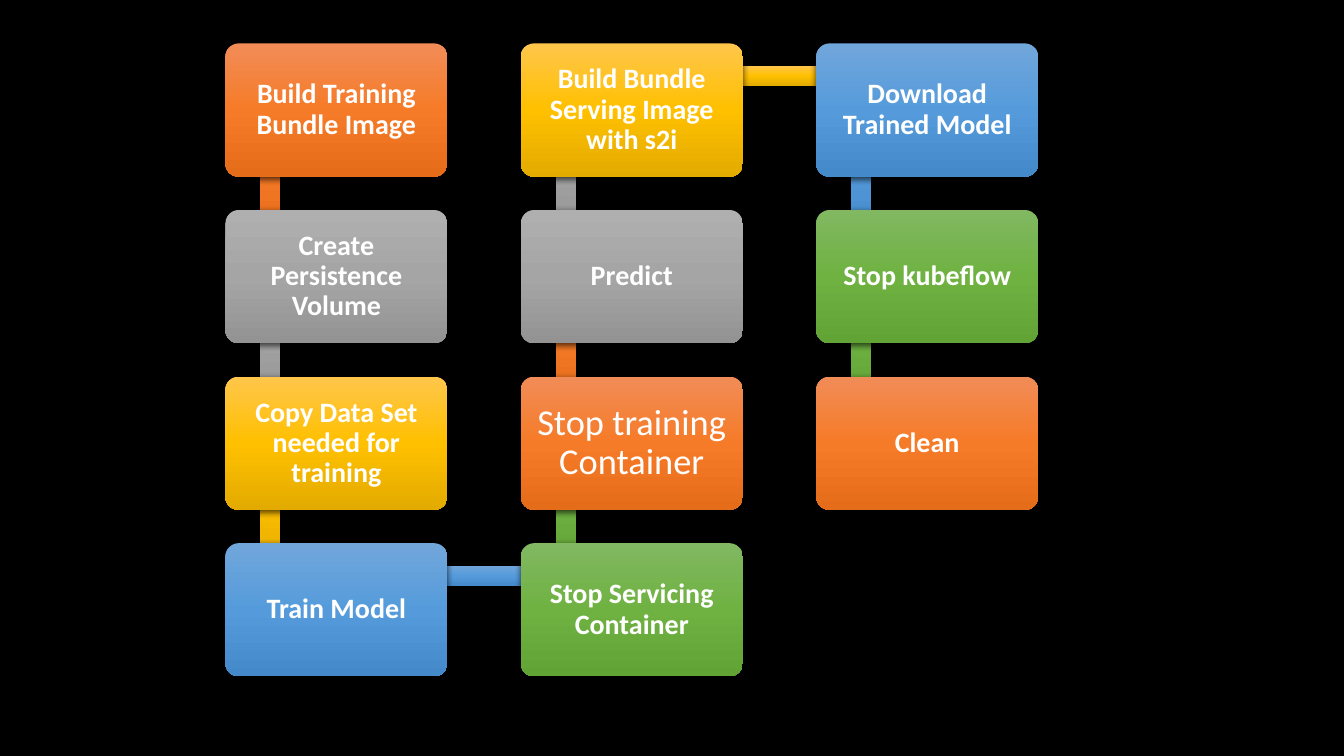
from pptx import Presentation
from pptx import util as u
from pptx.dml.color import RGBColor
from pptx.enum import shapes, text
from pptx.oxml import parse_xml

NS = 'xmlns:a="http://schemas.openxmlformats.org/drawingml/2006/main"'
ORANGE = ("F18C57", "F67B28", "E56C19")
GRAY = ("AFAFAF", "A5A5A5", "939393")
GOLD = ("FFC64B", "FFC000", "E3AB00")
BLUE = ("71A6DB", "559BDB", "448ACA")
GREEN = ("81B861", "6FB242", "62A336")


def rgb(color):
    return RGBColor.from_string(color)


def block(kind, x, y, w, h, colors):
    sp = s.shapes.add_shape(kind, u.Pt(x), u.Pt(y), u.Pt(w), u.Pt(h))
    stops = "".join(
        f'<a:gs pos="{i * 50000}"><a:srgbClr val="{c}"/></a:gs>'
        for i, c in enumerate(colors))
    sp._element.spPr.append(parse_xml(
        f'<a:gradFill {NS} rotWithShape="0"><a:gsLst>{stops}</a:gsLst>'
        '<a:lin ang="5400000" scaled="0"/></a:gradFill>'))
    sp.line.fill.background()
    sp._element.spPr.append(parse_xml(
        f'<a:effectLst {NS}><a:outerShdw blurRad="{u.Pt(4.5)}" dist="{u.Pt(1.5)}" '
        'dir="5400000" algn="ctr" rotWithShape="0"><a:srgbClr val="000000">'
        '<a:alpha val="63000"/></a:srgbClr></a:outerShdw></a:effectLst>'))
    return sp


prs = Presentation()
prs.slide_width, prs.slide_height = u.Pt(960), u.Pt(540)
s = prs.slides.add_slide(prs.slide_layouts[6])
s.background.fill.solid()
s.background.fill.fore_color.rgb = rgb("000000")

left, top = 161, 31
col_step, row_step = 211, 119
card_w, card_h = 158.6, 95.2
anchor_x, anchor_y, bar_h = 32, 23.3, 14.3

steps = [
    ("Build Training Bundle Image", ORANGE, 0, 0),
    ("Create Persistence Volume", GRAY, 0, 1),
    ("Copy Data Set needed for training", GOLD, 0, 2),
    ("Train Model", BLUE, 0, 3),
    ("Stop Servicing Container", GREEN, 1, 3),
    ("Stop training Container", ORANGE, 1, 2),
    ("Predict", GRAY, 1, 1),
    ("Build Bundle Serving Image with s2i", GOLD, 1, 0),
    ("Download Trained Model", BLUE, 2, 0),
    ("Stop kubeflow", GREEN, 2, 1),
    ("Clean", ORANGE, 2, 2),
]

for i, (label, colors, col, row) in enumerate(steps):
    x, y = left + col * col_step, top + row * row_step
    if i + 1 < len(steps):
        dx = (steps[i + 1][2] - col) * col_step
        dy = (steps[i + 1][3] - row) * row_step
        length = abs(dx + dy) - 0.8
        bar = block(shapes.MSO_SHAPE.RECTANGLE,
                    x + anchor_x + dx / 2 - length / 2,
                    y + anchor_y + dy / 2 - bar_h / 2,
                    length, bar_h, colors)
        bar.rotation = 90 if dy > 0 else 270 if dy < 0 else 0

    sp = block(shapes.MSO_SHAPE.ROUNDED_RECTANGLE, x, y, card_w, card_h, colors)
    sp.adjustments[0] = 0.1
    large = label == "Stop training Container"
    size = 26 if large else 20
    tf = sp.text_frame
    tf.word_wrap = True
    tf.vertical_anchor = text.MSO_ANCHOR.MIDDLE
    tf.margin_left = tf.margin_right = u.Pt(size * 0.3)
    tf.margin_top = tf.margin_bottom = u.Pt(size * 0.3)
    p = tf.paragraphs[0]
    p.alignment = text.PP_ALIGN.CENTER
    p.line_spacing = 0.9
    r = p.add_run()
    r.text = label
    r.font.name = "Calibri"
    r.font.size = u.Pt(size)
    r.font.bold = not large
    r.font.color.rgb = rgb("FFFFFF")

prs.save("out.pptx")
